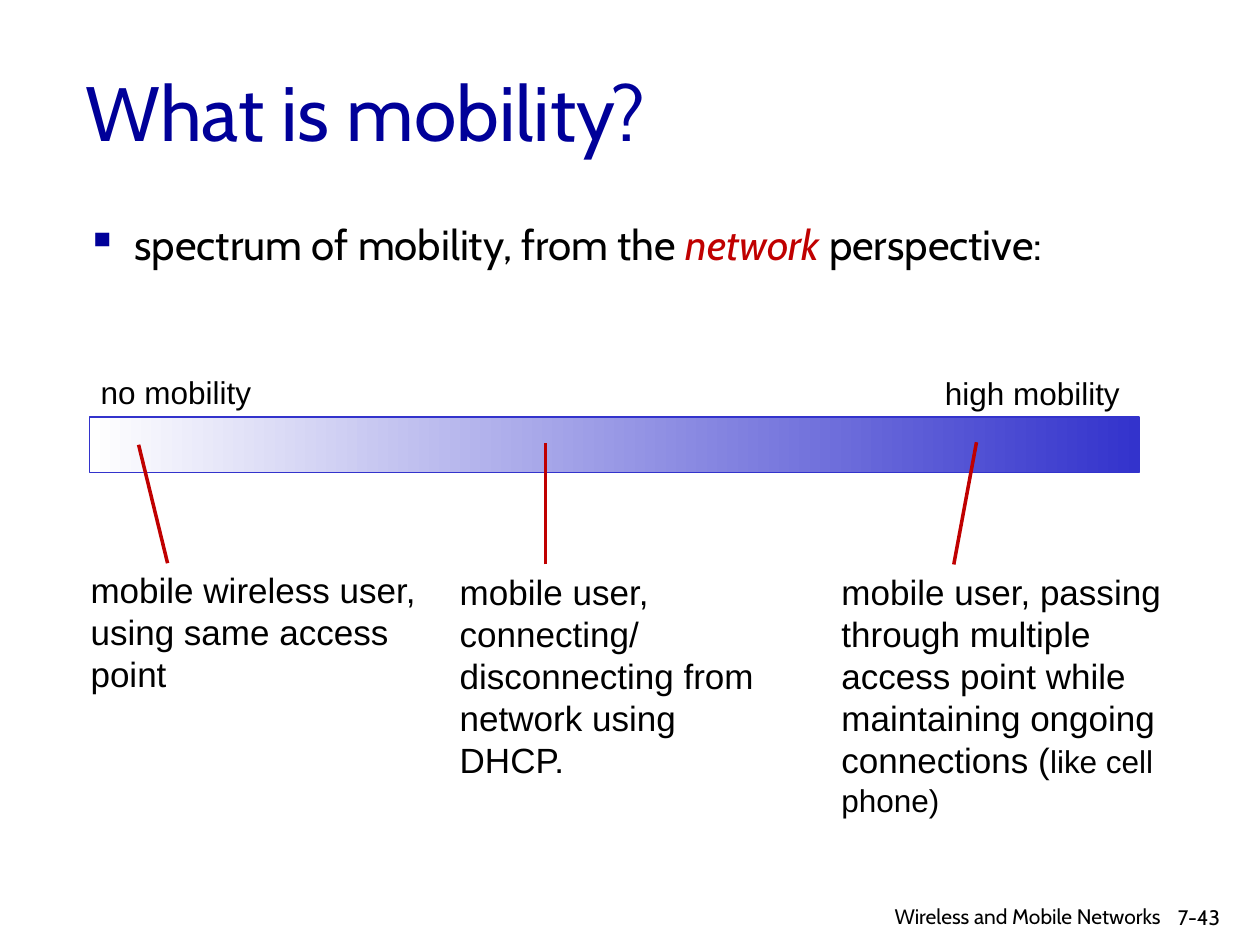
from dataclasses import dataclass

from lxml import etree
from pptx import Presentation
from pptx.dml.color import RGBColor
from pptx.enum.shapes import MSO_CONNECTOR, MSO_SHAPE
from pptx.enum.text import MSO_ANCHOR, PP_ALIGN
from pptx.oxml.ns import qn
from pptx.util import Inches, Pt

LEFT, RIGHT = PP_ALIGN.LEFT, PP_ALIGN.RIGHT
TOP, MIDDLE = MSO_ANCHOR.TOP, MSO_ANCHOR.MIDDLE
STRAIGHT = MSO_CONNECTOR.STRAIGHT
RECTANGLE = MSO_SHAPE.RECTANGLE


@dataclass(frozen=True)
class Theme:
    heading_font: str = "Cabin"
    label_font: str = "Arial"
    navy: RGBColor = RGBColor(0x00, 0x00, 0x99)
    black: RGBColor = RGBColor(0x00, 0x00, 0x00)
    white: RGBColor = RGBColor(0xFF, 0xFF, 0xFF)
    red: RGBColor = RGBColor(0xC0, 0x00, 0x00)
    blue: RGBColor = RGBColor(0x33, 0x33, 0xCC)
    title_size: int = 44
    body_size: int = 24
    note_size: int = 20
    label_size: int = 18
    footer_size: int = 12


THEME = Theme()


@dataclass(frozen=True)
class Span:
    text: str
    size: int | None = None
    color: RGBColor | None = None
    italic: bool | None = None


@dataclass(frozen=True)
class TextItem:
    area: tuple[float, float, float, float]
    paragraphs: list[list[Span]]
    size: int
    font: str = THEME.label_font
    color: RGBColor = THEME.black
    align: PP_ALIGN = LEFT
    anchor: MSO_ANCHOR = TOP
    wrap: bool = True
    bullet: bool = False


@dataclass(frozen=True)
class Pointer:
    start: tuple[float, float]
    end: tuple[float, float]


def add_bullet(para) -> None:
    properties = para._p.get_or_add_pPr()
    properties.set("marL", str(Inches(0.38)))
    properties.set("indent", str(Inches(-0.38)))
    color = etree.SubElement(properties, qn("a:buClr"))
    etree.SubElement(color, qn("a:srgbClr")).set("val", str(THEME.navy))
    etree.SubElement(properties, qn("a:buChar")).set("char", "▪")


def add_text(slide, item: TextItem) -> None:
    box = slide.shapes.add_textbox(*map(Inches, item.area))
    frame = box.text_frame
    frame.word_wrap = item.wrap
    frame.vertical_anchor = item.anchor
    for index, spans in enumerate(item.paragraphs):
        para = frame.add_paragraph() if index else frame.paragraphs[0]
        if item.bullet:
            add_bullet(para)
            para.line_spacing = 0.85
        para.alignment = item.align
        para.font.name = item.font
        para.font.size = Pt(item.size)
        para.font.color.rgb = item.color
        for span in spans:
            run = para.add_run()
            run.text = span.text
            if span.size:
                run.font.size = Pt(span.size)
            if span.color is not None:
                run.font.color.rgb = span.color
            run.font.italic = span.italic


def add_spectrum(slide) -> None:
    bar = slide.shapes.add_shape(
        RECTANGLE, Inches(0.71), Inches(3.31), Inches(8.33), Inches(0.44))
    bar.shadow.inherit = False
    bar.fill.gradient()
    bar.fill.gradient_angle = 0
    for stop, color in zip(bar.fill.gradient_stops, (THEME.white, THEME.blue)):
        stop.color.rgb = color
    bar.line.color.rgb = THEME.blue
    bar.line.width = Pt(0.75)


def add_pointer(slide, pointer: Pointer) -> None:
    line = slide.shapes.add_connector(
        STRAIGHT, *map(Inches, pointer.start + pointer.end))
    line.line.color.rgb = THEME.red
    line.line.width = Pt(2)
    etree.SubElement(line._element.spPr, qn("a:effectLst"))


HEADINGS = [
    TextItem((0.58, 0.25, 8.5, 1.25), [[Span("What is mobility?")]],
             THEME.title_size, THEME.heading_font, THEME.navy, anchor=MIDDLE),
    TextItem((0.59, 1.75, 8.97, 0.63),
             [[Span("spectrum of mobility, from the "),
               Span("network ", color=THEME.red, italic=True),
               Span("perspective:")]],
             THEME.body_size, THEME.heading_font, bullet=True),
]

LABELS = [
    TextItem((0.7, 2.91, 1.41, 0.4), [[Span("no mobility")]],
             THEME.label_size, wrap=False),
    TextItem((7.4, 2.92, 1.6, 0.4), [[Span("high mobility")]],
             THEME.label_size, wrap=False),
]

NOTES = [
    TextItem((0.62, 4.46, 2.98, 1.1),
             [[Span("mobile wireless user,")], [Span("using same access")],
              [Span("point")]],
             THEME.note_size, wrap=False),
    TextItem((3.55, 4.48, 2.66, 1.77),
             [[Span("mobile user, connecting/ disconnecting from network "
                    "using DHCP.")]],
             THEME.note_size),
    TextItem((6.58, 4.48, 2.94, 2.07),
             [[Span("mobile user, passing through multiple access point "
                    "while maintaining ongoing connections ("),
               Span("like cell phone)", size=THEME.label_size)]],
             THEME.note_size),
]

POINTERS = [
    Pointer((1.33, 4.47), (1.1, 3.53)),
    Pointer((4.33, 4.48), (4.33, 3.52)),
    Pointer((7.57, 4.48), (7.75, 3.51)),
]

FOOTER = [
    TextItem((9.25, 7.13, 0.75, 0.3), [[Span("7-43")]],
             THEME.footer_size, THEME.heading_font),
    TextItem((6.4, 7.12, 2.95, 0.28), [[Span("Wireless and Mobile Networks ")]],
             THEME.footer_size, THEME.heading_font, align=RIGHT),
]


def main() -> None:
    deck = Presentation()
    deck.slide_width, deck.slide_height = Inches(10), Inches(7.5)
    slide = deck.slides.add_slide(deck.slide_layouts[6])

    # Spectrum bar below the headings
    add_spectrum(slide)

    # All wording
    for item in HEADINGS + LABELS + NOTES + FOOTER:
        add_text(slide, item)

    # Pointers from the notes into the bar
    for pointer in POINTERS:
        add_pointer(slide, pointer)

    deck.save("out.pptx")


if __name__ == "__main__":
    main()
